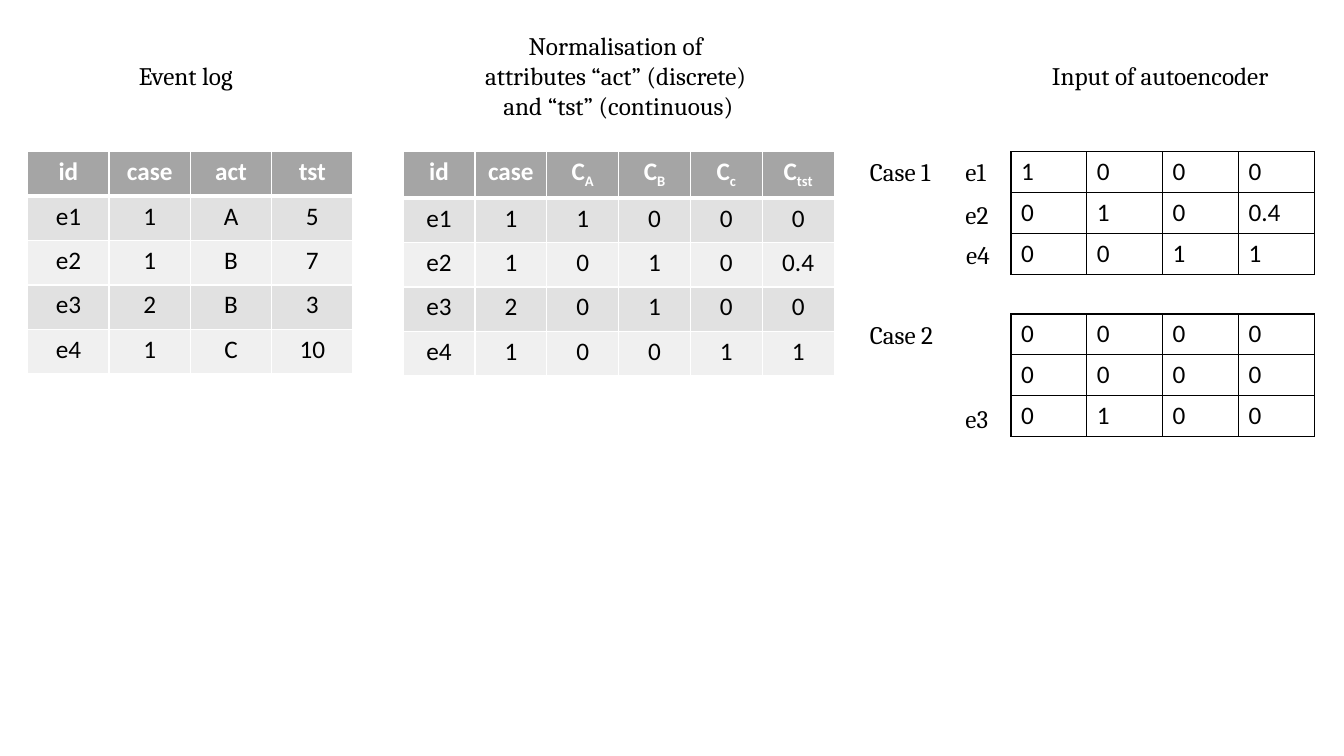
from dataclasses import dataclass

from lxml.etree import SubElement
from pptx import Presentation
from pptx.dml.color import RGBColor
from pptx.enum.text import MSO_AUTO_SIZE as AutoSize, PP_ALIGN as Align
from pptx.oxml.ns import qn
from pptx.util import Cm, Pt


@dataclass
class Theme:
    table_font: str = "Calibri"
    label_font: str = "Cambria"
    size: int = 18
    black: str = "000000"
    white: str = "FFFFFF"
    header: str = "A5A5A5"
    bands: tuple = ("E1E1E1", "F0F0F0")
    thin: int = 1
    thick: int = 3


theme = Theme()


def style_run(run, font_name, color, bold=False):
    run.font.name = font_name
    run.font.size = Pt(theme.size)
    run.font.bold = bold
    run.font.color.rgb = RGBColor.from_string(color)


def set_border(cell, side, color, width):
    line = SubElement(cell._tc.get_or_add_tcPr(), qn(f"a:ln{side}"), w=str(Pt(width)))
    SubElement(SubElement(line, qn("a:solidFill")), qn("a:srgbClr"), val=color)


presentation = Presentation()
presentation.slide_width, presentation.slide_height = Cm(33.87), Cm(19.05)
slide = presentation.slides.add_slide(presentation.slide_layouts[6])

# Table contents; an underscore in a header starts a subscript
event_log = ["id case act tst", "e1 1 A 5", "e2 1 B 7", "e3 2 B 3", "e4 1 C 10"]
normalised = ["id case C_A C_B C_c C_tst", "e1 1 1 0 0 0", "e2 1 0 1 0 0.4",
              "e3 2 0 1 0 0", "e4 1 0 0 1 1"]
case_1 = ["1 0 0 0", "0 1 0 0.4", "0 0 1 1"]
case_2 = ["0 0 0 0", "0 0 0 0", "0 1 0 0"]

# Tables: rows, left, top, column width, first row height, row height, has header
top, case_2_top = 3.82, 7.91
tables = [
    (event_log, 0.7, top, 2.05, 1.12, 1.12, True),
    (normalised, 10.16, top, 1.81, 1.17, 1.12, True),
    (case_1, 25.48, top, 1.91, 1.03, 1.03, False),
    (case_2, 25.48, case_2_top, 1.91, 1.03, 1.03, False),
]
for lines, left, table_top, column_width, first_height, row_height, has_header in tables:
    rows = [line.split() for line in lines]
    width = column_width * len(rows[0])
    height = first_height + row_height * (len(rows) - 1)
    table = slide.shapes.add_table(len(rows), len(rows[0]), Cm(left), Cm(table_top),
                                   Cm(width), Cm(height)).table
    table.first_row = has_header
    table.horz_banding = has_header
    for column in table.columns:
        column.width = Cm(column_width)
    for row_index, row in enumerate(rows):
        table.rows[row_index].height = Cm(row_height if row_index else first_height)
        is_header = has_header and row_index == 0
        for column_index, value in enumerate(row):
            cell = table.cell(row_index, column_index)

            # Borders, with a heavier rule under the header
            for side in "LRTB":
                under_header = has_header and (row_index, side) in ((0, "B"), (1, "T"))
                set_border(cell, side, theme.white if has_header else theme.black,
                           theme.thick if under_header else theme.thin)

            # Fill
            if has_header:
                cell.fill.solid()
                fill = theme.header if is_header else theme.bands[(row_index - 1) % 2]
                cell.fill.fore_color.rgb = RGBColor.from_string(fill)
            else:
                cell.fill.background()

            # Text
            base, _, subscript = value.partition("_")
            cell.text_frame.text = base
            paragraph = cell.text_frame.paragraphs[0]
            paragraph.alignment = Align.CENTER if has_header else Align.LEFT
            if subscript:
                run = paragraph.add_run()
                run.text = subscript
                run._r.get_or_add_rPr().set("baseline", "-25000")
            for run in paragraph.runs:
                style_run(run, theme.table_font, theme.white if is_header else theme.black,
                          is_header)

# Headings, then case and event labels: text, left, top, width, height, alignment, wrap
normalisation = "Normalisation of \nattributes “act” (discrete) \nand “tst” (continuous)"
labels = [
    ("Event log", 3.25, 1.4, 3.12, 1.03, Align.LEFT, True),
    (normalisation, 11.84, 0.64, 7.49, 2.57, Align.CENTER, True),
    ("Input of autoencoder", 26.26, 1.4, 6.27, 1.03, Align.LEFT, False),
]
for text, label_top in (("Case 1", top), ("Case 2", case_2_top)):
    labels.append((text, 21.67, label_top, 2.39, 1.03, Align.LEFT, True))
for text, left, label_top in (("e1", 24.08, top), ("e2", 24.08, 4.9),
                              ("e4", 24.1, 5.9), ("e3", 24.08, 10.04)):
    labels.append((text, left, label_top, 1.42, 1.03, Align.LEFT, True))

for text, left, label_top, width, height, alignment, wrap in labels:
    text_frame = slide.shapes.add_textbox(Cm(left), Cm(label_top), Cm(width),
                                          Cm(height)).text_frame
    text_frame.text = text
    text_frame.word_wrap = wrap
    text_frame.auto_size = AutoSize.SHAPE_TO_FIT_TEXT
    for paragraph in text_frame.paragraphs:
        paragraph.alignment = alignment
        for run in paragraph.runs:
            style_run(run, theme.label_font, theme.black)

presentation.save("out.pptx")
